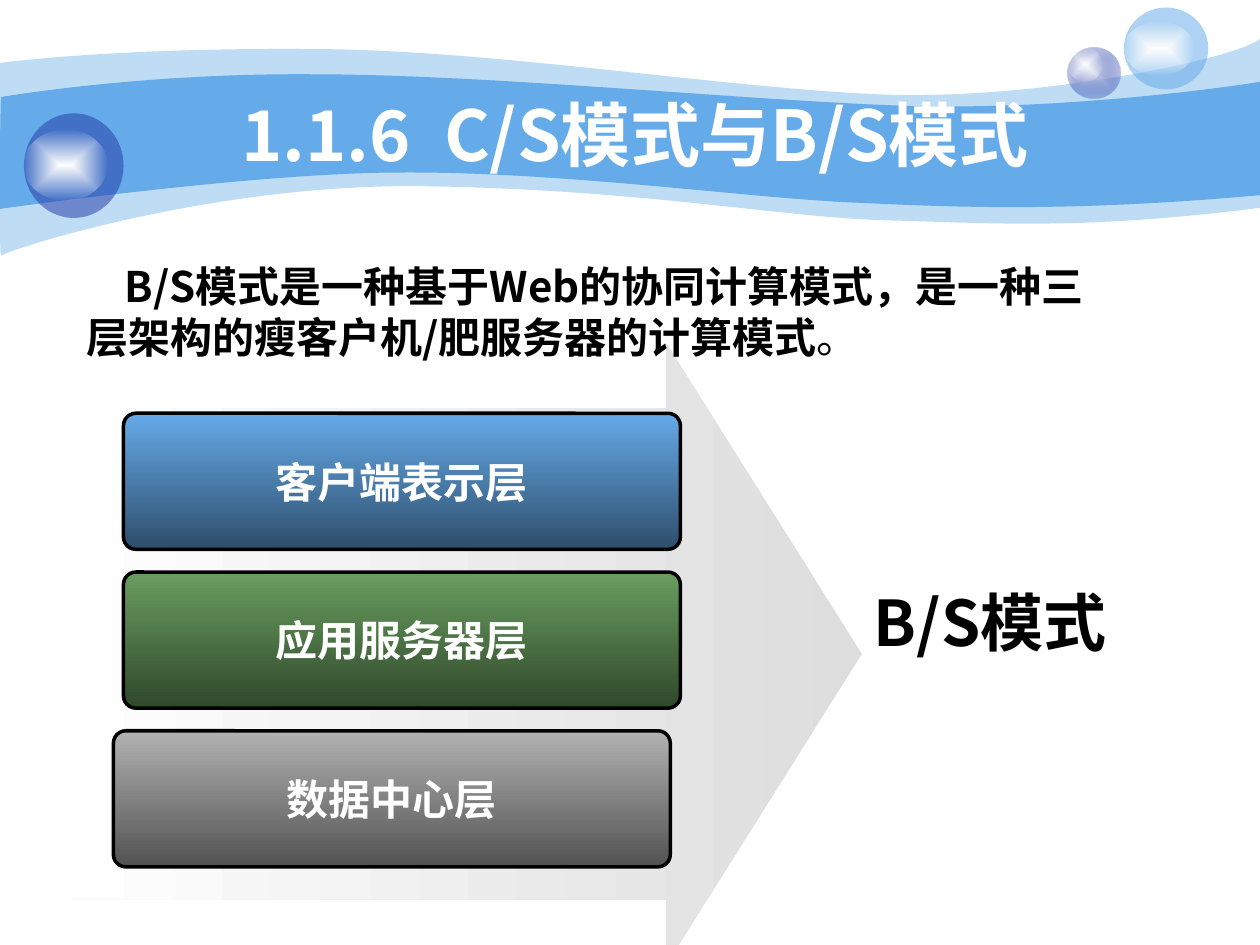
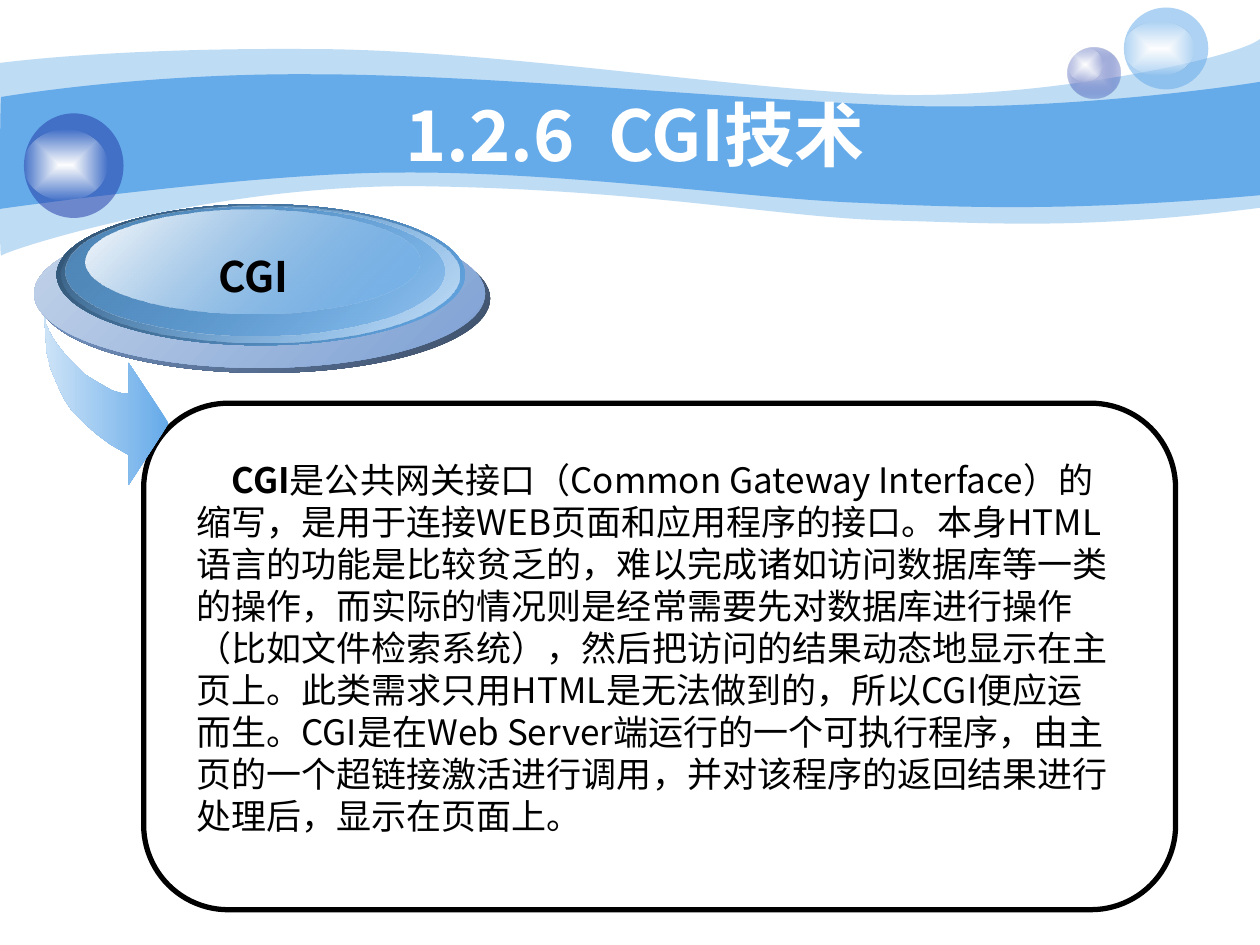
from lxml import etree
from pptx import Presentation
from pptx import util as u
from pptx.dml.color import RGBColor
from pptx.enum import shapes, text
from pptx.oxml.ns import qn

COLUMNS, ROWS = 10, 7.5
CELL = u.Inches(1)
BLUE, NAVY, WHITE, BLACK = "65AAE9", "233DA9", "FFFFFF", "000000"
DEEP_BLUE, SOFT_BLUE, PALE = "2E4E6B", "7DA0D3", "FEFEFE"
CJK, LATIN = "Noto Sans CJK SC", "Arial"
FORM = shapes.MSO_SHAPE
ALIGN = text.PP_ALIGN
MIDDLE = text.MSO_ANCHOR.MIDDLE


def draw(page, form, place, stops=(), angle=None, line=None, adjust=()):
    """Draw a preset or "text" box at (left, top, width, height), or, without
    a form, an outline of points and (control, control, end) curves. Each stop
    is (colour, opacity %); without an angle a gradient spreads from its centre."""
    if form == "text":
        return page.shapes.add_textbox(*[round(v * CELL) for v in place])
    if form:
        shape = page.shapes.add_shape(form, *[round(v * CELL) for v in place])
    else:
        points = [(x * CELL, y * CELL) for part in place
                  for x, y in zip(part[::2], part[1::2])]
        builder = page.shapes.build_freeform(*points[0], scale=1.0)
        builder.add_line_segments(points[1:], close=True)
        shape = builder.convert_to_shape()
        steps = shape.element.iter(qn("a:lnTo"))
        steps = iter(list(steps))
        for part in place[1:]:
            step = next(steps)
            if len(part) == 6:
                step.tag = qn("a:cubicBezTo")
                for _ in range(2):
                    extra = next(steps)
                    step.append(extra[0])
                    extra.getparent().remove(extra)
    shape.shadow.inherit = False
    for index, value in enumerate(adjust):
        shape.adjustments[index] = value
    shape.fill.background()
    shape.line.fill.background()
    if line:
        shape.line.color.rgb = RGBColor.from_string(line[0])
        shape.line.width = u.Pt(line[1])
    if stops:
        blended = len(stops) > 1
        fill = etree.Element(qn("a:gradFill" if blended else "a:solidFill"))
        ramp = etree.SubElement(fill, qn("a:gsLst")) if blended else None
        for index, (colour, opacity) in enumerate(stops):
            holder = fill
            if blended:
                holder = etree.SubElement(ramp, qn("a:gs"), pos=str(index * 100000))
            tint = etree.SubElement(holder, qn("a:srgbClr"), val=colour)
            if opacity < 100:
                etree.SubElement(tint, qn("a:alpha"), val=str(opacity * 1000))
        if blended and angle is not None:
            etree.SubElement(fill, qn("a:lin"), ang=str(angle * 60000), scaled="0")
        elif blended:
            spread = etree.SubElement(fill, qn("a:path"), {"path": "rect"})
            centre = dict.fromkeys("ltrb", "50000")
            etree.SubElement(spread, qn("a:fillToRect"), centre)
        properties = shape.element.spPr
        properties.replace(properties.find(qn("a:noFill")), fill)
    return shape


def write(box, spans, size, colour=BLACK, font=CJK, align=ALIGN.LEFT,
          anchor=text.MSO_ANCHOR.TOP, indent=0, wrap=True):
    """Fill a box with one paragraph of (words, bold, letter spacing) spans."""
    frame = box.text_frame
    frame.word_wrap = wrap
    frame.vertical_anchor = anchor
    para = frame.paragraphs[0]
    para.alignment = align
    para.line_spacing = u.Pt(size * 1.2)
    if indent:
        para._p.get_or_add_pPr().set("indent", str(round(indent * CELL)))
    for words, bold, spacing in spans:
        span = para.add_run()
        span.text = words
        formats = {"size": u.Pt(size), "bold": bold, "name": font}
        for name, value in formats.items():
            setattr(span.font, name, value)
        span.font.color.rgb = RGBColor.from_string(colour)
        properties = span._r.get_or_add_rPr()
        etree.SubElement(properties, qn("a:ea"), typeface=CJK)
        if spacing:
            properties.set("spc", str(spacing * 100))


deck = Presentation()
deck.slide_width, deck.slide_height = round(COLUMNS * CELL), round(ROWS * CELL)

# Shared header: two waves, three glass bubbles and the title
pale_wave = [(0, 0.5), (0.24, 0.47, 1.07, 0.38, 2.47, 0.39),
             (3.86, 0.39, 5.75, 0.7, 6.99, 0.75), (8.22, 0.8, 9.8, 0.47, 10, 0.31),
             (10, 1.65), (8.58, 1.83, 7.87, 1.77, 7.05, 1.75),
             (6.22, 1.73, 5.15, 1.51, 3.43, 1.48), (1.72, 1.44, 0.04, 1.99, 0.01, 2.03),
             (-0.01, 2.08, 0, 0.75, 0, 0.5)]
blue_wave = [(0.01, 0.77), (0.02, 0.77, 1.1, 0.58, 2.48, 0.59),
             (3.86, 0.59, 5.95, 0.8, 7.18, 0.84), (8.41, 0.88, 9.76, 0.69, 10, 0.65),
             (10, 1.55), (8.53, 1.68, 7.65, 1.65, 6.82, 1.61),
             (5.99, 1.58, 4.47, 1.36, 3.17, 1.37), (2.03, 1.37, -0.02, 1.66, -0.01, 1.66),
             (0, 1.66, 0, 0.77, 0.01, 0.77)]
bubbles = [((8.47, 0.38, 0.42, 0.4), [("C6CCE8", 100), (NAVY, 31)], (8.47, 0.38, 0.28, 0.27)),
           ((8.92, 0.06, 0.67, 0.65), [(BLUE, 53)], (8.92, 0.17, 0.56, 0.43)),
           ((0.19, 0.9, 0.79, 0.83), [(NAVY, 53)], (0.19, 1.03, 0.66, 0.56))]
pages = []
for number, heading in [("1.1.6", "C/S模式与B/S模式"), ("1.2.6", "CGI技术")]:
    page = deck.slides.add_slide(deck.slide_layouts[6])
    draw(page, None, pale_wave, [(BLUE, 41)])
    draw(page, None, blue_wave, [(BLUE, 100)])
    for ball, stops, shine in bubbles:
        draw(page, FORM.OVAL, ball, stops)
        draw(page, FORM.OVAL, shine, [(WHITE, 100), (PALE, 0)])
    title = draw(page, "text", (1, 0.75, 8.08, 0.62))
    write(title, [(number, True, 0), (" ", True, 10), (heading, True, 0)], 40, WHITE,
          align=ALIGN.CENTER, anchor=MIDDLE)
    pages.append(page)
modes, gateway = pages

# Three layers on a broad arrow that leads to the B/S mode
draw(modes, FORM.RIGHT_ARROW, (0.59, 2.73, 6.25, 4.92),
     [("DDDDDD", 100), (PALE, 100)], 180, adjust=(0.793, 0.315))
layers = [("客户端表示层", 0.98, BLUE, DEEP_BLUE),
          ("应用服务器层", 0.98, "699D5F", "30482B"),
          ("数据中心层", 0.9, "B2B2B2", "525252")]
for row, (label, left, upper, lower) in enumerate(layers):
    layer = draw(modes, FORM.ROUNDED_RECTANGLE, (left, 3.28 + 1.26 * row, 4.42, 1.08),
                 [(upper, 100), (lower, 100)], 90, (BLACK, 2), (0.091,))
    write(layer, [(label, True, 0)], 24, WHITE, LATIN, ALIGN.CENTER, MIDDLE, wrap=False)
result = draw(modes, FORM.ROUNDED_RECTANGLE, (6.57, 4.22, 2.75, 1.42), adjust=(0.091,))
write(result, [("B/S模式", True, 0)], 36, anchor=MIDDLE, indent=0.23)
intro = draw(modes, "text", (0.59, 2.02, 8.43, 0.9))
write(intro, [("B/S模式是一种基于Web的协同计算模式，是一种三层架构的瘦客户机/肥服务器的计算模式",
               True, 0), ("。", False, 0)], 24, indent=0.3)

# Framed explanation, curved arrow and layered CGI button
draw(gateway, FORM.ROUNDED_RECTANGLE, (1.14, 3.2, 8.19, 4.02),
     line=(BLACK, 3), adjust=(0.167,))
curved_arrow = [(0.35, 2.49), (0.36, 2.64), (0.37, 2.79), (0.4, 2.92), (0.45, 3.04),
                (0.5, 3.15), (0.57, 3.26), (0.66, 3.35), (0.76, 3.44), (0.88, 3.53),
                (1.02, 3.61), (1.02, 3.85), (1.34, 3.36), (1.02, 2.88), (1.02, 3.12),
                (0.96, 3.12), (0.89, 3.1), (0.82, 3.06), (0.75, 3.02), (0.67, 2.97),
                (0.61, 2.91), (0.54, 2.84), (0.48, 2.77), (0.43, 2.7), (0.39, 2.63),
                (0.36, 2.56), (0.36, 2.49)]
draw(gateway, None, curved_arrow, [(BLUE, 100), ("CDE3F7", 100)], 180)
button = [((0.31, 1.78, 3.58, 1.18), ("3C4D66", 100), (SOFT_BLUE, 100)),
          ((0.27, 1.74, 3.58, 1.18), (SOFT_BLUE, 100), ("C4D4EA", 100)),
          ((0.45, 1.62, 3.24, 1.12), (BLUE, 100), (DEEP_BLUE, 100)),
          ((0.49, 1.63, 3.16, 1.09), ("C8E0F6", 100), (BLUE, 0)),
          ((0.52, 1.64, 3.01, 1.02), (BLUE, 48), ("4F86B7", 100)),
          ((0.68, 1.66, 2.65, 0.83), (BLUE, 38), (PALE, 100))]
for place, *stops in button:
    draw(gateway, FORM.OVAL, place, stops, 225)
caption = draw(gateway, "text", (0.67, 1.94, 2.68, 0.5))
write(caption, [("CGI", True, 0)], 24, align=ALIGN.CENTER)
explanation = draw(gateway, "text", (1.46, 3.59, 7.48, 3.1))
write(explanation, [
    ("CGI", True, 0),
    ("是公共网关接口（Common Gateway Interface）的缩写，是用于连接WEB页面和应用程序的接口。"
     "本身HTML语言的功能是比较贫乏的，难以完成诸如访问数据库等一类的操作，"
     "而实际的情况则是经常需要先对数据库进行操作（比如文件检索系统），"
     "然后把访问的结果动态地显示在主页上。此类需求只用HTML是无法做到的，所以CGI便应运而生。"
     "CGI是在Web Server端运行的一个可执行程序，由主页的一个超链接激活进行调用，"
     "并对该程序的返回结果进行处理后，显示在页面上。", False, 0)], 20, indent=0.28)

deck.save("out.pptx")
